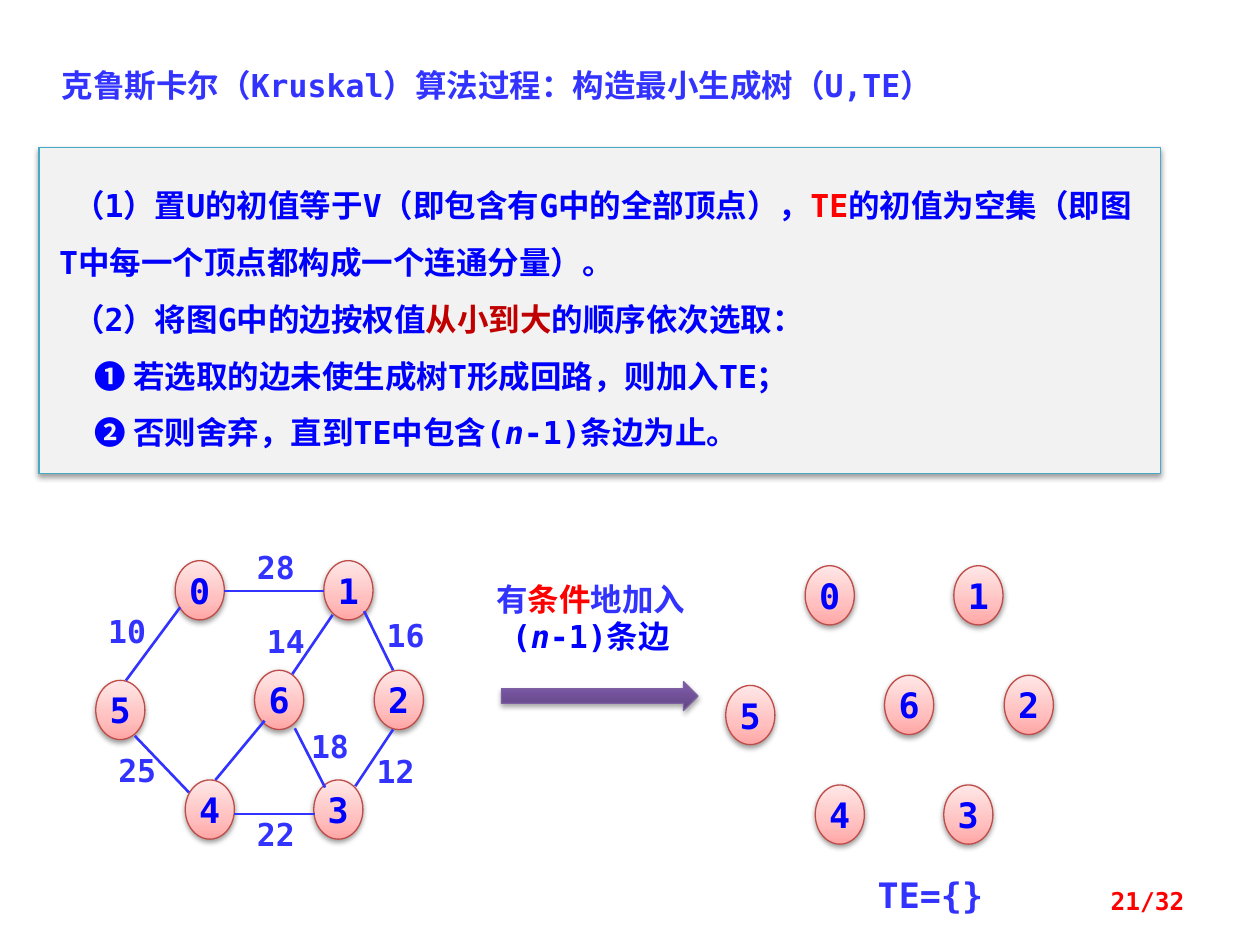
"""Build the slide on Kruskal's algorithm: its steps, a weighted graph and the initial forest."""
from lxml import etree
from pptx import Presentation
from pptx.dml.color import RGBColor
from pptx.enum import lang, shapes, text
from pptx.oxml import ns
from pptx.util import Inches, Pt

FONT = "DejaVu Sans Mono"
BLUE = RGBColor(0x00, 0x00, 0xFF)
INDIGO = RGBColor(0x33, 0x33, 0xFF)
RED = RGBColor(0xFF, 0x00, 0x00)
DARK_RED = RGBColor(0xC0, 0x00, 0x00)
PANEL = RGBColor(0xF2, 0xF2, 0xF2)
PANEL_EDGE = RGBColor(0x46, 0xAA, 0xC5)
NODE_EDGE = RGBColor(0xBF, 0x4C, 0x48)
ARROW_EDGE = RGBColor(0x7D, 0x60, 0xA0)
BLACK = RGBColor(0x00, 0x00, 0x00)
NODE_STOPS = [(0, RGBColor(0xFF, 0xA6, 0xA5)), (35, RGBColor(0xFF, 0xC0, 0xBF)),
              (100, RGBColor(0xFF, 0xE7, 0xE7))]
ARROW_STOPS = [(0, RGBColor(0x5F, 0x44, 0x80)), (80, RGBColor(0x7B, 0x58, 0xA6)),
               (100, RGBColor(0x7C, 0x57, 0xA8))]

TITLE = "克鲁斯卡尔（Kruskal）算法过程：构造最小生成树（U,TE）"
STEPS = [
    (0.11, [("（1）置U的初值等于V（即包含有G中的全部顶点），", BLUE), ("TE", RED),
            ("的初值为空集（即图T中每一个顶点都构成一个连通分量）。", BLUE)]),
    (0.11, [("（2）将图G中的边按权值", BLUE), ("从小到大", DARK_RED), ("的顺序依次选取：", BLUE)]),
    (0.28, [("❶ 若选取的边未使生成树T形成回路，则加入TE；", BLUE)]),
    (0.28, [("❷ 否则舍弃，直到TE中包含(", BLUE), ("n", BLUE, True), ("-1)条边为止。", BLUE)]),
]
ARROW_CAPTION = [("有", INDIGO), ("条件", RED), ("地加入", INDIGO),
                 ("(", BLUE), ("n", BLUE, True), ("-1)条边", BLUE)]
NODES = {"0": (1.39, 4.45), "1": (2.57, 4.45), "5": (0.76, 5.4), "4": (1.47, 6.19),
         "3": (2.49, 6.19), "6": (2.02, 5.32), "2": (2.97, 5.32)}
NODE_SIZE = (0.39, 0.47)
FOREST_OFFSET = (5, 0.04)
EDGES = [
    (1.78, 4.69, 2.57, 4.69), (1.43, 4.82, 1, 5.4), (1.07, 5.84, 1.5, 6.29),
    (1.86, 6.46, 2.5, 6.46), (1.71, 6.19, 2.1, 5.72), (2.34, 5.78, 2.58, 6.25),
    (2.64, 4.88, 2.32, 5.35), (2.89, 4.85, 3.12, 5.32), (3.12, 5.79, 2.82, 6.24),
]
WEIGHTS = {"28": (1.94, 4.3), "10": (0.76, 4.81), "14": (2.02, 4.89), "25": (0.84, 5.91),
           "18": (2.37, 5.72), "22": (1.94, 6.42), "16": (2.97, 4.84), "12": (2.89, 5.92)}


def inches(values):
    return [Inches(value) for value in values]


def move(part, box):
    part.left, part.top, part.width, part.height = inches(box)


def write(paragraph, runs, size=18, align=text.PP_ALIGN.LEFT):
    paragraph.alignment = align
    for words, color, *italic in runs:
        run = paragraph.add_run()
        run.text = words
        run.font.name, run.font.size, run.font.bold = FONT, Pt(size), True
        run.font.italic = bool(italic)
        run.font.color.rgb = color
        run.font.language_id = lang.MSO_LANGUAGE_ID.SIMPLIFIED_CHINESE


def add_label(box, runs, size=18, align=text.PP_ALIGN.LEFT):
    label = slide.shapes.add_textbox(*inches(box))
    label.text_frame.word_wrap = True
    write(label.text_frame.paragraphs[0], runs, size, align)
    return label


def add_color(parent, color, alpha=None):
    tint = etree.SubElement(parent, ns.qn("a:srgbClr"), val=str(color))
    if alpha:
        etree.SubElement(tint, ns.qn("a:alpha"), val=str(alpha * 1000))


def outline_and_shade(part, color, alpha=38, distance=1.6):
    part.line.color.rgb = color
    part.line.width = Pt(0.75)
    part.shadow.inherit = False
    effects = part._element.spPr.find(ns.qn("a:effectLst"))
    shade = etree.SubElement(effects, ns.qn("a:outerShdw"), blurRad=str(Pt(3.1)),
                             dist=str(Pt(distance)), dir="5400000", rotWithShape="0")
    add_color(shade, BLACK, alpha)


def fill_gradient(part, stops):
    part.fill.gradient()
    part.fill.gradient_angle = 90
    stop_list = part._element.spPr.find(".//" + ns.qn("a:gsLst"))
    for old_stop in list(stop_list):
        stop_list.remove(old_stop)
    for position, color in stops:
        add_color(etree.SubElement(stop_list, ns.qn("a:gs"), pos=str(position * 1000)), color)


def add_node(name, left, top):
    node = slide.shapes.add_shape(shapes.MSO_SHAPE.OVAL, *inches((left, top, *NODE_SIZE)))
    fill_gradient(node, NODE_STOPS)
    outline_and_shade(node, NODE_EDGE)
    node.text_frame.word_wrap = False
    node.text_frame.vertical_anchor = text.MSO_ANCHOR.MIDDLE
    write(node.text_frame.paragraphs[0], [(name, BLUE)], 20, text.PP_ALIGN.CENTER)


def add_edge(*ends):
    edge = slide.shapes.add_connector(shapes.MSO_CONNECTOR.STRAIGHT, *inches(ends))
    edge.line.color.rgb = INDIGO
    edge.line.width = Pt(1.5)
    etree.SubElement(edge._element.spPr, ns.qn("a:effectLst"))


def fill_steps(panel):
    move(panel, (0.31, 1.17, 8.9, 2.59))
    panel.fill.solid()
    panel.fill.fore_color.rgb = PANEL
    outline_and_shade(panel, PANEL_EDGE)
    frame = panel.text_frame
    frame.auto_size = text.MSO_AUTO_SIZE.NONE
    frame.margin_left = frame.margin_right = Inches(0.16)
    frame.margin_top = frame.margin_bottom = Inches(0.16)
    for index, (indent, runs) in enumerate(STEPS):
        step = frame.add_paragraph() if index else frame.paragraphs[0]
        properties = step._p.get_or_add_pPr()
        properties.set("marL", "0")
        properties.set("indent", str(Inches(indent)))
        etree.SubElement(properties, ns.qn("a:buNone"))
        step.space_before = Pt(0)
        step.line_spacing = 1.5
        write(step, runs)


deck = Presentation()
deck.slide_width, deck.slide_height = Inches(10), Inches(7.5)
slide = deck.slides.add_slide(deck.slide_layouts[1])

heading = slide.shapes.title
move(heading, (0.39, 0.47, 8.26, 0.4))
heading.text_frame.auto_size = text.MSO_AUTO_SIZE.NONE
heading.text_frame.vertical_anchor = text.MSO_ANCHOR.TOP
write(heading.text_frame.paragraphs[0], [(TITLE, INDIGO)])
fill_steps(slide.placeholders[1])

for dx, dy in [(0, 0), FOREST_OFFSET]:
    for name, (left, top) in NODES.items():
        add_node(name, left + dx, top + dy)
for ends in EDGES:
    add_edge(*ends)
for weight, corner in WEIGHTS.items():
    add_label((*corner, 0.55, 0.4), [(weight, INDIGO)])

arrow = slide.shapes.add_shape(shapes.MSO_SHAPE.RIGHT_ARROW, *inches((3.98, 5.41, 1.56, 0.23)))
fill_gradient(arrow, ARROW_STOPS)
outline_and_shade(arrow, ARROW_EDGE, 35, 1.8)
add_label((3.83, 4.55, 1.72, 0.71), ARROW_CAPTION, align=text.PP_ALIGN.CENTER)
add_label((6.72, 6.88, 1.33, 0.44), [("TE={}", INDIGO)], 20, text.PP_ALIGN.CENTER)
page = add_label((7.17, 6.95, 2.33, 0.4), [("21/32", RED)], 14, text.PP_ALIGN.RIGHT)
page.text_frame.vertical_anchor = text.MSO_ANCHOR.MIDDLE

deck.save("out.pptx")
